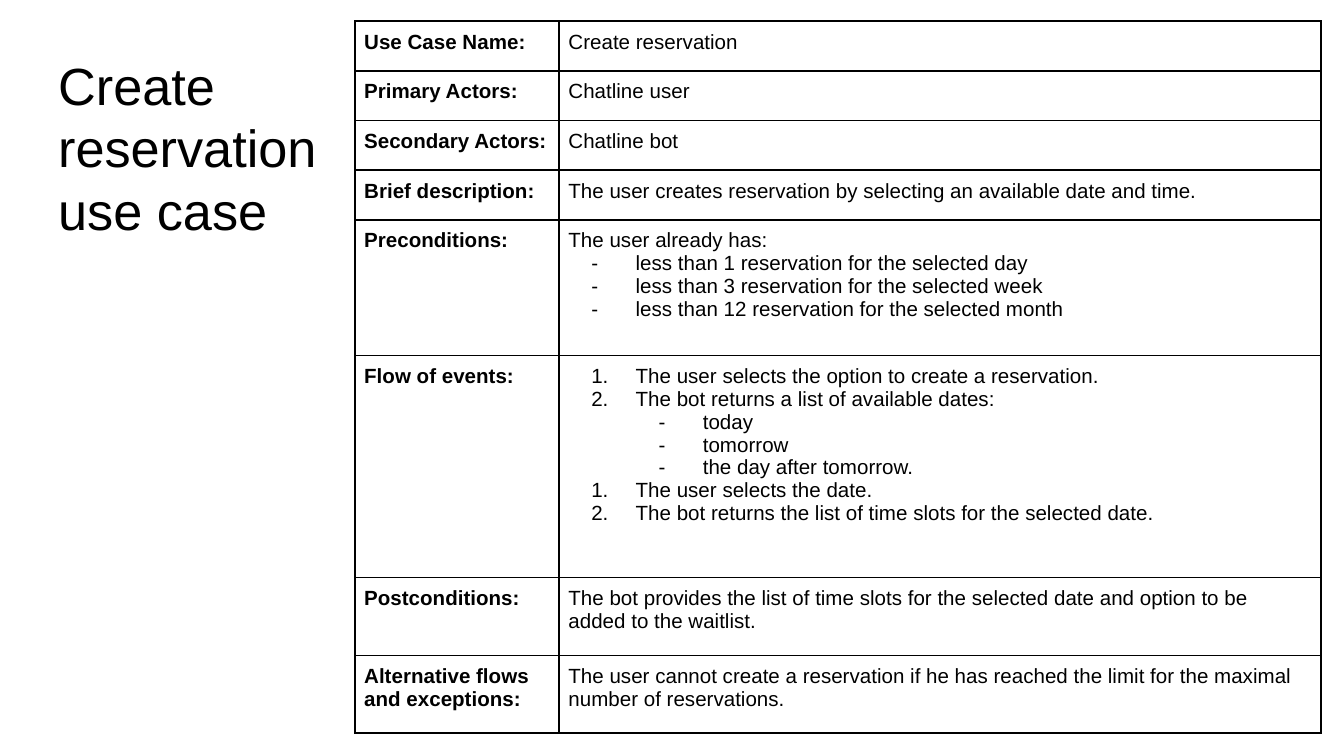
from dataclasses import dataclass
from typing import Sequence

from lxml.etree import SubElement
from pptx import Presentation
from pptx.dml.color import RGBColor
from pptx.oxml.ns import qn
from pptx.util import Emu, Inches, Pt


@dataclass(frozen=True)
class Theme:
    font: str = "Arial"
    ink: str = "000000"
    title_size: int = 28
    body_size: int = 11
    border_width: int = 1
    title_inset: float = 0.1
    cell_inset: float = 0.07


@dataclass(frozen=True)
class Line:
    text: str
    marker: str = ""  # "-" for a dash, "1." for numbering
    depth: int = 1


@dataclass(frozen=True)
class UseCaseRow:
    label: Sequence[Line]
    details: Sequence[Line]
    height: float


THEME = Theme()
SLIDE_WIDTH = Inches(10)
SLIDE_HEIGHT = Emu(SLIDE_WIDTH * 9 // 16)
LABEL_COLUMN, DETAIL_COLUMN = 0.152, 0.567  # shares of the slide width
SINGLE, DOUBLE = 0.37, 0.58  # row heights in inches
LIST_INDENT, LIST_HANG = 0.5, 0.33

USE_CASE = [
    UseCaseRow([Line("Use Case Name:")], [Line("Create reservation")], SINGLE),
    UseCaseRow([Line("Primary Actors:")], [Line("Chatline user")], SINGLE),
    UseCaseRow([Line("Secondary Actors:")], [Line("Chatline bot")], SINGLE),
    UseCaseRow(
        [Line("Brief description:")],
        [Line("The user creates reservation by selecting an available date and time.")],
        SINGLE,
    ),
    UseCaseRow(
        [Line("Preconditions:")],
        [
            Line("The user already has:"),
            Line("less than 1 reservation for the selected day", "-"),
            Line("less than 3 reservation for the selected week", "-"),
            Line("less than 12 reservation for the selected month", "-"),
        ],
        1.01,
    ),
    UseCaseRow(
        [Line("Flow of events:")],
        [
            Line("The user selects the option to create a reservation.", "1."),
            Line("The bot returns a list of available dates:", "1."),
            Line("today", "-", 2),
            Line("tomorrow", "-", 2),
            Line("the day after tomorrow.", "-", 2),
            Line("The user selects the date.", "1."),
            Line("The bot returns the list of time slots for the selected date.", "1."),
        ],
        1.65,
    ),
    UseCaseRow(
        [Line("Postconditions:")],
        [Line("The bot provides the list of time slots for the selected date "
              "and option to be added to the waitlist.")],
        DOUBLE,
    ),
    UseCaseRow(
        [Line("Alternative flows"), Line("and exceptions:")],
        [Line("The user cannot create a reservation if he has reached the limit "
              "for the maximal number of reservations.")],
        DOUBLE,
    ),
]


def across(share: float) -> Emu:
    return Emu(round(SLIDE_WIDTH * share))


def down(share: float) -> Emu:
    return Emu(round(SLIDE_HEIGHT * share))


def set_insets(holder, inset: float) -> None:
    for side in ("left", "right", "top", "bottom"):
        setattr(holder, f"margin_{side}", Inches(inset))


def add_marker(paragraph, line: Line) -> None:
    # Every list line stays on the first level, so numbering restarts after dashes
    properties = paragraph._p.get_or_add_pPr()
    properties.set("marL", str(Inches(LIST_INDENT * line.depth)))
    properties.set("indent", str(-Inches(LIST_HANG)))
    color = SubElement(properties, qn("a:buClr"))
    SubElement(color, qn("a:srgbClr"), val=THEME.ink)
    SubElement(properties, qn("a:buFont"), typeface=THEME.font)
    if line.marker == "1.":
        SubElement(properties, qn("a:buAutoNum"), type="arabicPeriod")
    else:
        SubElement(properties, qn("a:buChar"), char=line.marker)


def write_lines(frame, lines: Sequence[Line], size: int, bold: bool = False) -> None:
    for index, line in enumerate(lines):
        paragraph = frame.add_paragraph() if index else frame.paragraphs[0]
        paragraph.text = line.text
        paragraph.line_spacing = 1.0
        font = paragraph.font
        font.name, font.size, font.bold = THEME.font, Pt(size), bold
        font.color.rgb = RGBColor.from_string(THEME.ink)
        if line.marker:
            add_marker(paragraph, line)


def add_borders(cell) -> None:
    properties = cell._tc.get_or_add_tcPr()
    for side in ("lnL", "lnR", "lnT", "lnB"):
        border = SubElement(properties, qn(f"a:{side}"), w=str(Pt(THEME.border_width)))
        fill = SubElement(border, qn("a:solidFill"))
        SubElement(fill, qn("a:srgbClr"), val=THEME.ink)


def fill_cell(cell, lines: Sequence[Line], bold: bool) -> None:
    set_insets(cell, THEME.cell_inset)
    add_borders(cell)
    cell.fill.background()
    write_lines(cell.text_frame, lines, THEME.body_size, bold)


def add_title(slide, lines: Sequence[Line]) -> None:
    title = slide.shapes.add_textbox(across(0.0335), down(0.052), across(0.334), down(0.288))
    title.text_frame.word_wrap = True
    set_insets(title.text_frame, THEME.title_inset)
    write_lines(title.text_frame, lines, THEME.title_size)


def add_use_case_table(slide, rows: Sequence[UseCaseRow]) -> None:
    table = slide.shapes.add_table(
        len(rows), 2, across(0.264), down(0.028),
        across(LABEL_COLUMN + DETAIL_COLUMN), Inches(sum(row.height for row in rows)),
    ).table
    table.first_row = table.horz_banding = False
    for column, share in zip(table.columns, (LABEL_COLUMN, DETAIL_COLUMN)):
        column.width = across(share)
    for index, row in enumerate(rows):
        table.rows[index].height = Inches(row.height)
        fill_cell(table.cell(index, 0), row.label, bold=True)
        fill_cell(table.cell(index, 1), row.details, bold=False)


def main() -> None:
    deck = Presentation()
    deck.slide_width, deck.slide_height = SLIDE_WIDTH, SLIDE_HEIGHT
    slide = deck.slides.add_slide(deck.slide_layouts[6])

    # Use case details on the right, title on the left
    add_use_case_table(slide, USE_CASE)
    add_title(slide, [Line("Create reservation"), Line("use case")])

    deck.save("out.pptx")


if __name__ == "__main__":
    main()
